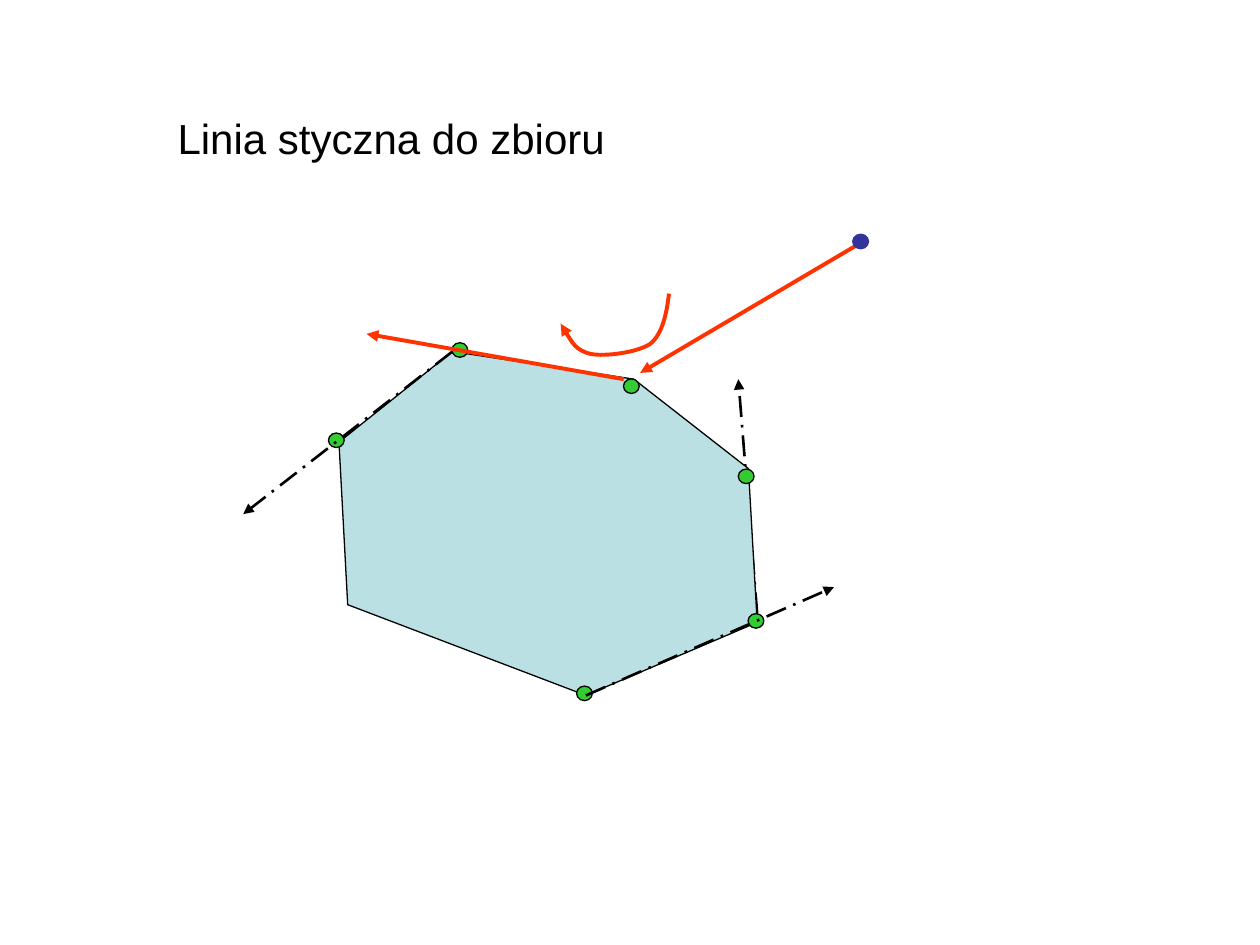
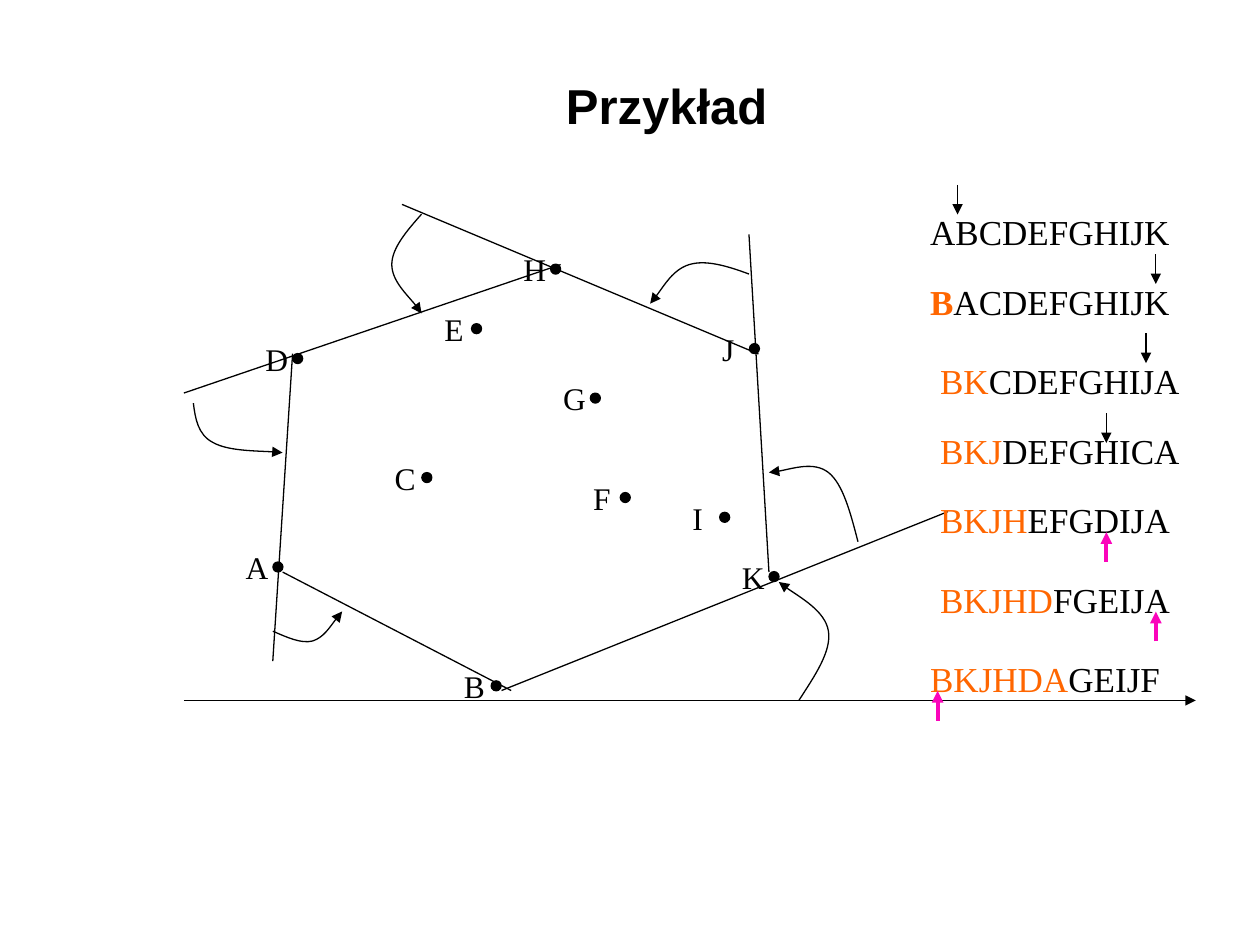
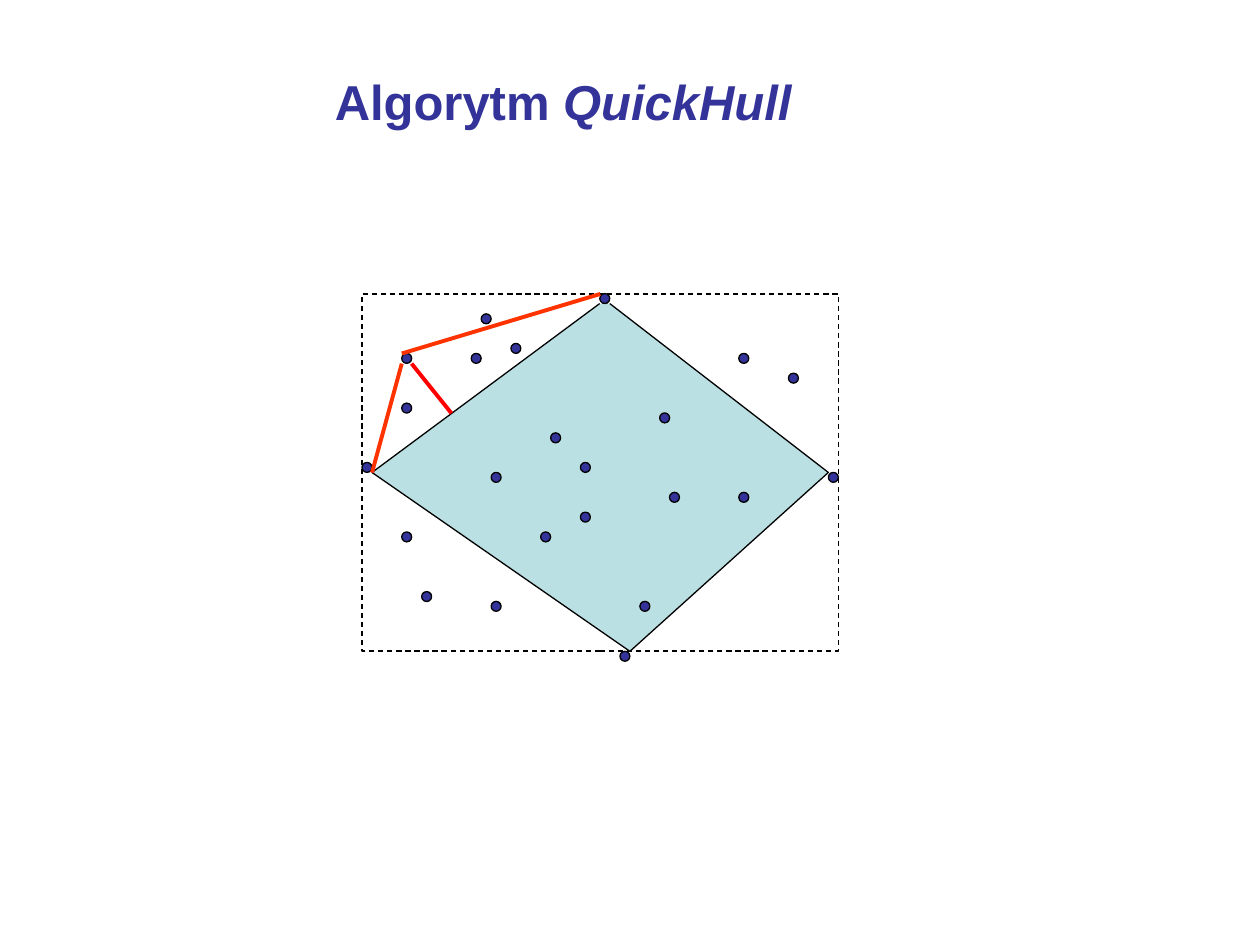
from lxml import etree
from pptx import Presentation
from pptx.dml.color import RGBColor
from pptx.enum.dml import MSO_LINE
from pptx.enum.shapes import MSO_CONNECTOR, MSO_SHAPE
from pptx.enum.text import MSO_ANCHOR, MSO_AUTO_SIZE, PP_ALIGN
from pptx.oxml.ns import qn
from pptx.util import Pt

STRAIGHT = MSO_CONNECTOR.STRAIGHT
OVAL, RECTANGLE = MSO_SHAPE.OVAL, MSO_SHAPE.RECTANGLE
DASH, LONG_DASH_DOT = MSO_LINE.DASH, MSO_LINE.LONG_DASH_DOT
MIDDLE, CENTER, NO_AUTOFIT = MSO_ANCHOR.MIDDLE, PP_ALIGN.CENTER, MSO_AUTO_SIZE.NONE

BLACK, WHITE, NAVY = "000000", "FFFFFF", "333399"
GREEN, PALE_BLUE = "33CC33", "BBE0E3"
RED, ORANGE_RED, ORANGE, MAGENTA = "FF0000", "FF3300", "FF6600", "FB05BB"
SANS, SERIF = "Arial", "Times New Roman"
THIN, MEDIUM, THICK = 0.75, 1.5, 2.25
SMALL_DOT = (5.7, 5.7)
LARGE_DOT = (9, 8.3)


def rgb(color):
    return RGBColor.from_string(color)


def points(*lengths):
    return [Pt(length) for length in lengths]


def style_line(shape, color, width, dash=None, arrow=False):
    shape.line.color.rgb = rgb(color)
    shape.line.width = Pt(width)
    if dash:
        shape.line.dash_style = dash
    if arrow:
        outline = shape.element.spPr.find(qn("a:ln"))
        etree.SubElement(outline, qn("a:tailEnd"), type="triangle")


def style_fill(shape, color):
    shape.shadow.inherit = False
    if color:
        shape.fill.solid()
        shape.fill.fore_color.rgb = rgb(color)
    else:
        shape.fill.background()


def add_line(slide, start, end, color=BLACK, width=THIN, dash=None, arrow=False):
    line = slide.shapes.add_connector(STRAIGHT, *points(*start, *end))
    style_line(line, color, width, dash, arrow)
    etree.SubElement(line.element.spPr, qn("a:effectLst"))


def add_preset(slide, preset, box, fill, outline=BLACK, dash=None):
    shape = slide.shapes.add_shape(preset, *points(*box))
    style_fill(shape, fill)
    style_line(shape, outline, THIN, dash)


def add_dot(slide, center, size, fill, outline=BLACK):
    (x, y), (width, height) = center, size
    add_preset(slide, OVAL, (x - width / 2, y - height / 2, width, height), fill, outline)


def add_outline(slide, vertices, fill=None, close=False):
    start, *others = [points(*vertex) for vertex in vertices]
    builder = slide.shapes.build_freeform(*start)
    builder.add_line_segments(others, close=close)
    outline = builder.convert_to_shape()
    style_fill(outline, fill)
    style_line(outline, BLACK, THIN)
    return outline


def add_curved_arrow(slide, controls, color=BLACK, width=THIN):
    curve = add_outline(slide, controls)
    style_line(curve, color, width, arrow=True)
    segments = curve.element.xpath(".//a:lnTo")
    for first in range(0, len(segments), 3):
        bezier = etree.Element(qn("a:cubicBezTo"))
        segments[first].addprevious(bezier)
        for segment in segments[first:first + 3]:
            bezier.append(segment[0])
            segment.getparent().remove(segment)


def add_text(slide, box, runs, size):
    frame = slide.shapes.add_textbox(*points(*box)).text_frame
    frame.word_wrap = True
    paragraph = frame.paragraphs[0]
    paragraph.font.name = SERIF
    paragraph.font.size = Pt(size)
    for text, color, bold in runs:
        run = paragraph.add_run()
        run.text = text
        run.font.color.rgb = rgb(color)
        run.font.bold = bold


def add_titled_slide(deck, box, title, size=28, color=BLACK, bold=True, italic_part=""):
    slide = deck.slides.add_slide(deck.slide_layouts.get_by_name("Title Only"))
    heading = slide.shapes.title
    heading.left, heading.top, heading.width, heading.height = points(*box)
    frame = heading.text_frame
    frame.auto_size = NO_AUTOFIT
    frame.margin_left = frame.margin_right = 0
    frame.vertical_anchor = MIDDLE
    paragraph = frame.paragraphs[0]
    paragraph.alignment = CENTER
    paragraph.font.name = SANS
    paragraph.font.size = Pt(size)
    paragraph.font.bold = bold
    paragraph.font.color.rgb = rgb(color)
    paragraph.add_run().text = title
    if italic_part:
        emphasis = paragraph.add_run()
        emphasis.text = italic_part
        emphasis.font.italic = True
    return slide


def build_tangent(deck):
    slide = add_titled_slide(deck, (94.3, 60.5, 258.5, 36), "Linia styczna do zbioru",
                             size=24, bold=False)
    add_line(slide, (490.3, 139.7), (365.8, 213.1), ORANGE_RED, THICK, arrow=True)
    add_line(slide, (432.7, 350.6), (421.9, 216.7), BLACK, MEDIUM, LONG_DASH_DOT, True)
    hull = [(362.2, 216.7), (258.5, 200.9), (193.7, 252.7), (198.7, 345.6),
            (334.8, 397.4), (432.7, 355.7), (427.7, 267.8)]
    add_outline(slide, hull, PALE_BLUE, close=True)
    for center in [(262.8, 200), (192.2, 251.6), (360.8, 220.7),
                   (334, 396.2), (432, 354.8), (426.4, 272.2)]:
        add_dot(slide, center, LARGE_DOT, GREEN)
    add_dot(slide, (491.8, 138), LARGE_DOT, NAVY, NAVY)
    for start, end in [((258.5, 200.9), (139, 293.8)), ((334.8, 397.4), (476.6, 335.5))]:
        add_line(slide, start, end, BLACK, MEDIUM, LONG_DASH_DOT, True)
    add_line(slide, (356.4, 216.7), (209.5, 190.8), ORANGE_RED, THICK, arrow=True)
    turn = [(382.3, 167.8), (380.9, 179.3), (378.7, 190.8), (371.5, 196.6),
            (363.6, 201.6), (345.6, 203.8), (337.7, 202.3),
            (329, 200.2), (324.7, 192.2), (320.4, 185)]
    add_curved_arrow(slide, turn, ORANGE_RED, THICK)


def add_step(slide, left, top, hull, rest, pointer_x, pointer_offset, bold=False):
    runs = [(hull, ORANGE, bold)] if hull else []
    add_text(slide, (left, top, 158.4, 31.7), runs + [(rest, BLACK, False)], 20)
    start = top + pointer_offset
    if pointer_offset < 0:
        add_line(slide, (pointer_x, start), (pointer_x, start + 17), arrow=True)
    else:
        add_line(slide, (pointer_x, start), (pointer_x, start - 17), MAGENTA, THICK, arrow=True)


def build_example(deck):
    slide = add_titled_slide(deck, (77.8, 36, 606.2, 48.2), "Przykład")
    sites = {"A": (158.8, 324), "B": (283.5, 391.9), "C": (243.9, 272.9),
             "D": (170.1, 204.9), "E": (272.3, 187.8), "F": (357.3, 284.3),
             "H": (317.5, 153.8), "I": (414.1, 295.6), "J": (431.1, 199.2),
             "K": (442.3, 329.5), "G": (340.2, 227.5)}
    for label, (x, y) in sites.items():
        add_dot(slide, (x, y), SMALL_DOT, BLACK)
        add_text(slide, (x - 25.5, y - 14.2, 28.1, 28.8), [(label, BLACK, False)], 18)

    add_line(slide, (105.1, 400.3), (683.3, 400.3), arrow=True)
    for start, end in [((286.6, 394.6), (541.6, 292.4)), ((439.4, 326.9), (428, 133.9)),
                       ((433.4, 202.3), (229.7, 116.8)), ((320.4, 151.2), (105.1, 224.6)),
                       ((161.5, 326.9), (292.1, 394.6)), ((167.2, 202.1), (155.9, 377.8))]:
        add_line(slide, start, end)

    turns = [
        [(456.5, 400.3), (465.8, 385.9), (475.2, 372.2), (473.4, 360.7),
         (471.6, 349.2), (450, 337), (445, 332.6)],
        [(490.3, 309.6), (486, 293), (481.7, 276.5), (473.4, 270),
         (465.1, 263.5), (445, 270), (439.4, 270)],
        [(428, 156.6), (415.4, 151.9), (403.2, 148.3), (393.8, 151.2),
         (384.5, 154.1), (375.1, 169.9), (371.5, 173.5)],
        [(240.9, 122.4), (232.6, 131.8), (223.9, 141.8), (223.9, 151.2),
         (223.9, 160.6), (238.3, 174.2), (240.9, 179.1)],
        [(110.5, 230.4), (111.6, 239), (113, 248.4), (121.7, 252.9),
         (130.3, 257.8), (154.8, 257.8), (161.5, 258.7)],
        [(155.9, 360.7), (164.2, 364.3), (172.1, 367.9), (178.6, 366.3),
         (185, 364.3), (193, 352.1), (195.5, 349.4)],
    ]
    for controls in turns:
        add_curved_arrow(slide, controls)

    add_step(slide, 524.4, 116.6, "", "ABCDEFGHIJK", 547.2, -11)
    add_step(slide, 524.4, 156.8, "B", "ACDEFGHIJK", 660.5, -11.5, bold=True)
    add_step(slide, 530.1, 202, "BK", "CDEFGHIJA", 654.9, -11.5)
    add_step(slide, 530.1, 241.9, "BKJ", "DEFGHICA", 632.2, -5.7)
    add_step(slide, 530.1, 281.5, "BKJH", "EFGDIJA", 632.2, 39.6)
    add_step(slide, 530.1, 326.9, "BKJHD", "FGEIJA", 660.5, 39.6)
    add_step(slide, 524.4, 372.2, "BKJHDA", "GEIJF", 535.8, 39.6)


def build_quickhull(deck):
    slide = add_titled_slide(deck, (184.3, 37.4, 275, 41), "Algorytm ",
                             color=NAVY, italic_part="QuickHull")
    add_preset(slide, RECTANGLE, (206.9, 168, 272.1, 204), WHITE, dash=DASH)
    add_dot(slide, (345.6, 176.3), SMALL_DOT, NAVY)
    quadrilateral = [(342.7, 173.5), (212.6, 270), (360, 372.2), (473.4, 270), (348.5, 173.5)]
    add_outline(slide, quadrilateral, PALE_BLUE)
    extremes = [(476.2, 272.8), (209.7, 267.1), (357.1, 375), (345.6, 170.6)]
    inner = [(317.5, 250.2), (283.5, 272.8), (379.8, 238.8), (334.5, 295.5), (385.4, 284.2),
             (368.5, 346.5), (334.5, 267.1), (311.8, 306.8), (425, 284.2)]
    outer = [(232.4, 204.8), (272.1, 204.8), (294.8, 199.1), (243.8, 340.9), (232.4, 233.2),
             (425, 204.8), (283.5, 346.5), (453.4, 216.1), (232.4, 306.8), (277.8, 182.2)]
    for center in extremes + inner + outer:
        add_dot(slide, center, SMALL_DOT, NAVY)
    add_line(slide, (235.2, 207.8), (258, 236.2), RED, THICK)
    add_line(slide, (229.6, 207.8), (212.6, 270), ORANGE_RED, THICK)
    add_line(slide, (229.6, 202), (343, 168), ORANGE_RED, THICK)


def main():
    deck = Presentation()
    deck.slide_width, deck.slide_height = points(720, 540)
    build_tangent(deck)
    build_example(deck)
    build_quickhull(deck)
    deck.save("out.pptx")


if __name__ == "__main__":
    main()
